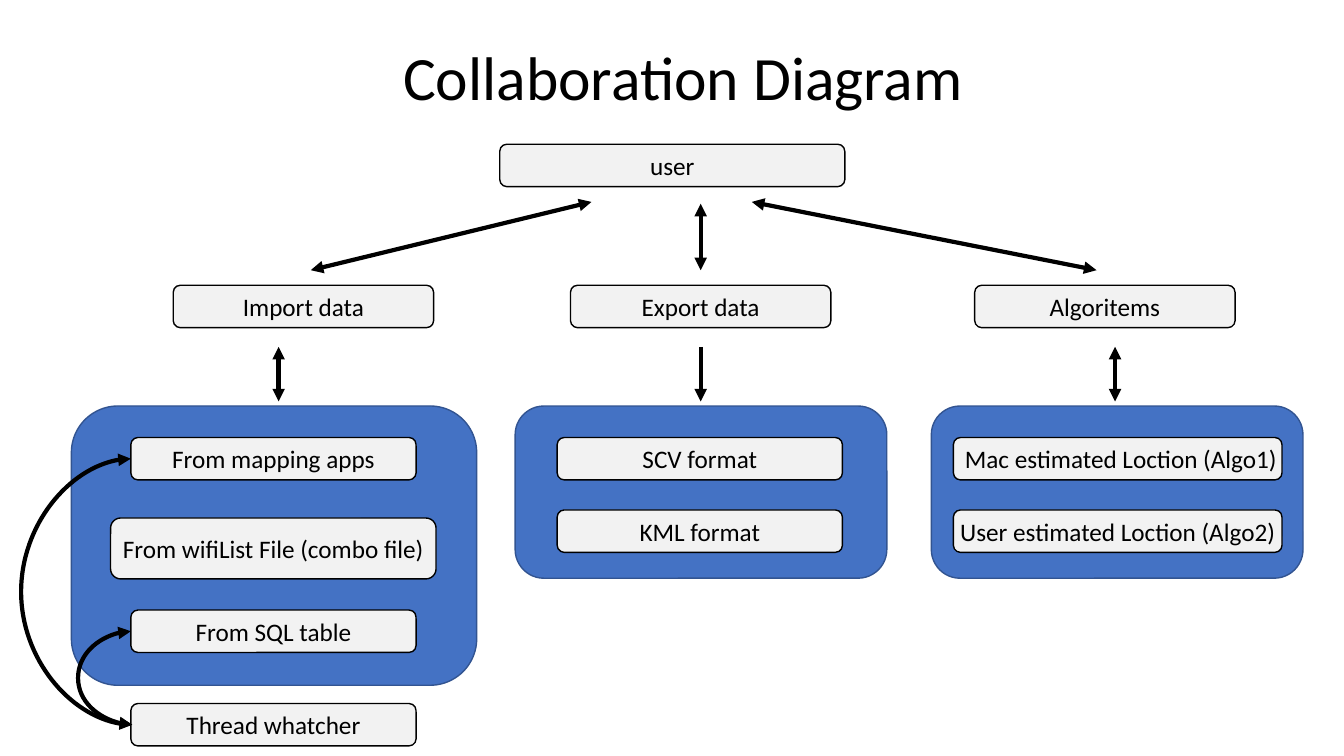
from pptx import Presentation
from pptx.dml.color import RGBColor
from pptx.enum.shapes import MSO_CONNECTOR as CONN, MSO_SHAPE as SHAPE
from pptx.enum.text import MSO_ANCHOR as ANCHOR, PP_ALIGN as ALIGN
from pptx.oxml.ns import qn
from pptx.util import Pt
from lxml.etree import SubElement

COLORS = {"panel": "4472C4", "panel_line": "325491", "box": "F2F2F2", "ink": "000000"}
BOX_H = 30.3
PANEL_TOP = 290
ITEM_TOPS = (312.5, 364.25)


def rgb(name):
    return RGBColor.from_string(COLORS[name])


def write(sp, text, size):
    """Centred right-to-left paragraph."""
    tf = sp.text_frame
    tf.text = text
    tf.vertical_anchor = ANCHOR.MIDDLE
    p = tf.paragraphs[0]
    p.alignment = ALIGN.CENTER
    p._p.get_or_add_pPr().set("rtl", "1")
    font = p.runs[0].font
    font.name, font.size = "Calibri", Pt(size)
    font.color.rgb = rgb("ink")
    return tf


def add_title(s, text):
    sp = s.shapes.add_textbox(Pt(74), Pt(5), Pt(828), Pt(104.5))
    tf = write(sp, text, 44)
    tf.word_wrap = True
    tf.paragraphs[0].line_spacing = 0.9


def add_round(shapes, x, y, w, h, fill, line):
    sp = shapes.add_shape(SHAPE.ROUNDED_RECTANGLE, Pt(x), Pt(y), Pt(w), Pt(h))
    sp.shadow.inherit = False
    sp.fill.solid()
    sp.fill.fore_color.rgb = rgb(fill)
    sp.line.color.rgb = rgb(line)
    sp.line.width = Pt(1)
    return sp


def add_panel(shapes, x, w, h):
    add_round(shapes, x, PANEL_TOP, w, h, "panel", "panel_line")


def add_box(shapes, text, x, y, w, h=BOX_H):
    sp = add_round(shapes, x, y, w, h, "box", "ink")
    write(sp, text, 18).word_wrap = False


def add_group(s, panel_x, box_x, box_w, labels):
    """Panel with two stacked boxes, grouped."""
    shapes = s.shapes.add_group_shape().shapes
    add_panel(shapes, panel_x, 265.5, 123)
    for text, y in zip(labels, ITEM_TOPS):
        add_box(shapes, text, box_x, y, box_w)


def add_arrow(s, x1, y1, x2, y2, kind=CONN.STRAIGHT, both=True):
    cxn = s.shapes.add_connector(kind, Pt(x1), Pt(y1), Pt(x2), Pt(y2))
    cxn.line.color.rgb = rgb("ink")
    cxn.line.width = Pt(3)
    ln = cxn.line._get_or_add_ln()
    for end in ("a:headEnd", "a:tailEnd") if both else ("a:tailEnd",):
        SubElement(ln, qn(end), type="triangle")
    SubElement(cxn._element.spPr, qn("a:effectLst"))
    return cxn


def add_curve(s, x, y1, y2, bulge):
    """Curve bowing left by bulge; its 1 pt width makes bulge the adjust ratio."""
    cxn = add_arrow(s, x + 1, y1, x, y2, CONN.CURVE)
    geom = cxn._element.spPr.find(qn("a:prstGeom"))
    av = geom.find(qn("a:avLst"))
    if av is None:
        av = SubElement(geom, qn("a:avLst"))
    SubElement(av, qn("a:gd"), name="adj1", fmla=f"val {round(bulge * 100000)}")


def main():
    prs = Presentation()
    prs.slide_width, prs.slide_height = Pt(960), Pt(540)
    s = prs.slides.add_slide(prs.slide_layouts[6])

    # Title, user and the three branches
    add_title(s, "Collaboration Diagram")
    add_box(s.shapes, "user", 357, 103, 246.5)
    for text, x in (("Import data", 123.75), ("Export data", 407.5), ("Algoritems", 696.25)):
        add_box(s.shapes, text, x, 203.75, 186)

    # Import sources and the thread below them
    add_panel(s.shapes, 51, 289.5, 199.5)
    add_box(s.shapes, "From wifiList File (combo file)", 79, 370, 232.5, 43.5)
    import_x = 93.5
    apps_y, sql_y, thread_y = 312.5, 435.75, 502.5
    for text, y in (("From mapping apps", apps_y), ("From SQL table", sql_y),
                    ("Thread whatcher", thread_y)):
        add_box(s.shapes, text, import_x, y, 203.75)

    # Export formats and algorithms
    add_group(s, 368, 398, 203.75, ("SCV format", "KML format"))
    add_group(s, 665.25, 681, 234.75,
              ("Mac estimated Loction (Algo1) ", "User estimated Loction (Algo2)"))

    # Arrows from the user to the branches
    for x1, y1, x2 in ((422.5, 144.25, 222), (500.5, 145.5, 500.5), (537, 144.25, 783.25)):
        add_arrow(s, x1, y1, x2, 193)

    # Arrows from the branches to the panels
    for x, both in ((199, True), (500.5, False), (796.5, True)):
        add_arrow(s, x, 247.75, x, 286.75, both=both)

    # Curves from the thread to its sources
    for y, bulge in ((apps_y, 80), (sql_y, 39)):
        add_curve(s, import_x, thread_y + BOX_H / 2, y + BOX_H / 2, bulge)

    prs.save("out.pptx")


if __name__ == "__main__":
    main()
